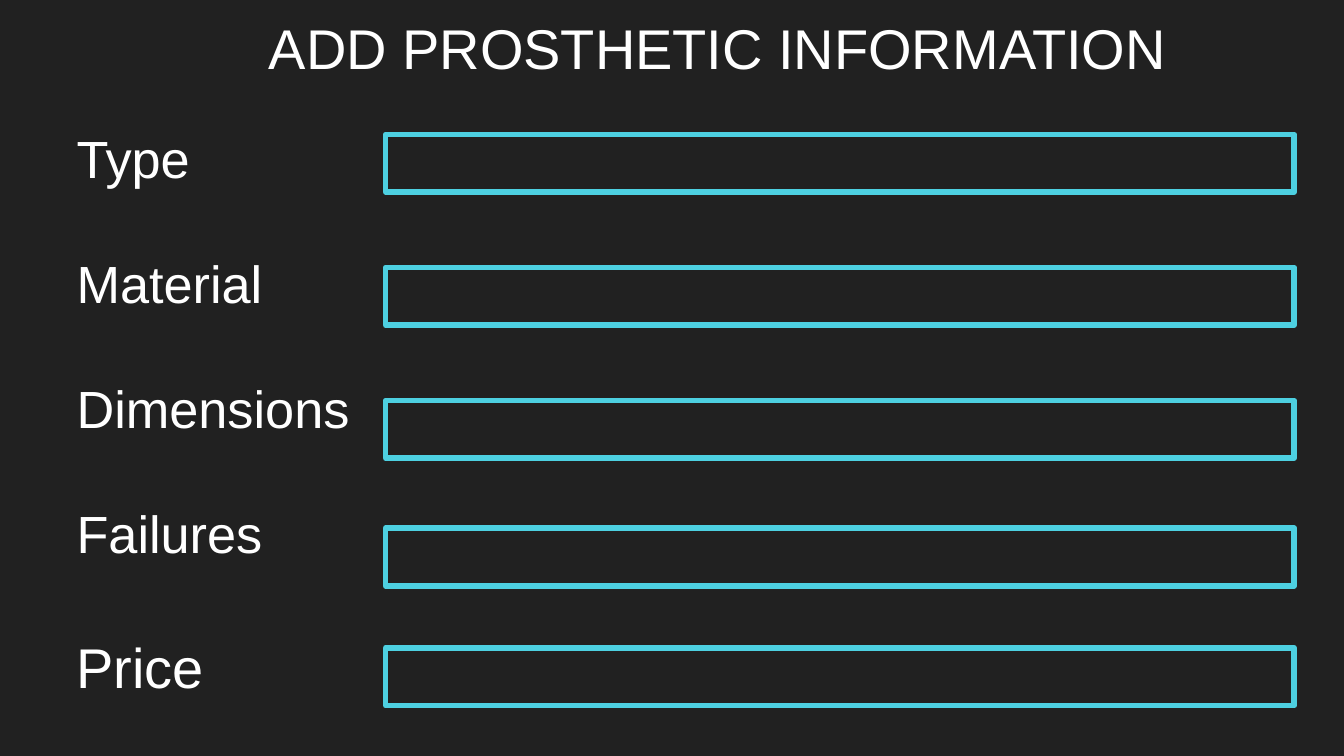
from dataclasses import dataclass

from lxml.etree import SubElement
from pptx import Presentation
from pptx.dml.color import RGBColor
from pptx.enum.shapes import MSO_SHAPE
from pptx.enum.text import MSO_ANCHOR, MSO_AUTO_SIZE, PP_ALIGN
from pptx.oxml.ns import qn
from pptx.util import Inches, Pt


@dataclass(frozen=True)
class Theme:
    background: RGBColor = RGBColor(0x21, 0x21, 0x21)
    text: RGBColor = RGBColor(0xFF, 0xFF, 0xFF)
    outline: RGBColor = RGBColor(0x4D, 0xD0, 0xE1)
    font: str = "Arial"
    title_size: Pt = Pt(30)
    label_size: Pt = Pt(28)
    price_size: Pt = Pt(30)


theme = Theme()


def place(box, left, top, width, height):
    box.left, box.top = Inches(left), Inches(top)
    box.width, box.height = Inches(width), Inches(height)
    frame = box.text_frame
    frame.margin_left = frame.margin_right = Inches(0.1)
    frame.margin_top = frame.margin_bottom = Inches(0.1)
    frame.word_wrap = True
    frame.auto_size = MSO_AUTO_SIZE.NONE
    frame.vertical_anchor = MSO_ANCHOR.TOP
    return frame


def style(para, size):
    para.alignment = PP_ALIGN.LEFT
    for span in para.runs:
        span.font.name = theme.font
        span.font.size = size
        span.font.color.rgb = theme.text


deck = Presentation()
deck.slide_width, deck.slide_height = Inches(10), Inches(10 * 9 / 16)
page = deck.slides.add_slide(deck.slide_layouts[1])
page.background.fill.solid()
page.background.fill.fore_color.rgb = theme.background

# Title
title = place(page.shapes.title, 1.9, 0, 8.29, 0.77)
title.text = "ADD PROSTHETIC INFORMATION"
style(title.paragraphs[0], theme.title_size)

# Field labels: name, type size, space before
labels = [
    ("Type", theme.label_size, Pt(0)),
    ("Material", theme.label_size, Pt(33.4)),
    ("Dimensions", theme.label_size, Pt(33.4)),
    ("Failures", theme.label_size, Pt(33.4)),
    ("Price", theme.price_size, Pt(36.5)),
]
label_list = place(page.placeholders[1], 0.47, 0.84, 8.09, 4.79)
label_list.text = "\n".join(name for name, _, _ in labels)
for para, (_, size, gap) in zip(label_list.paragraphs, labels):
    properties = para._p.get_or_add_pPr()
    properties.set("marL", "0")
    properties.set("indent", "0")
    SubElement(properties, qn("a:buNone"))
    para.space_before = gap
    style(para, size)

# Entry fields
for top in (1, 1.99, 2.98, 3.93, 4.82):
    field = page.shapes.add_shape(
        MSO_SHAPE.RECTANGLE, Inches(2.87), Inches(top), Inches(6.76), Inches(0.43)
    )
    field.shadow.inherit = False
    field.fill.background()
    field.line.color.rgb = theme.outline
    field.line.width = Pt(3)

deck.save("out.pptx")
